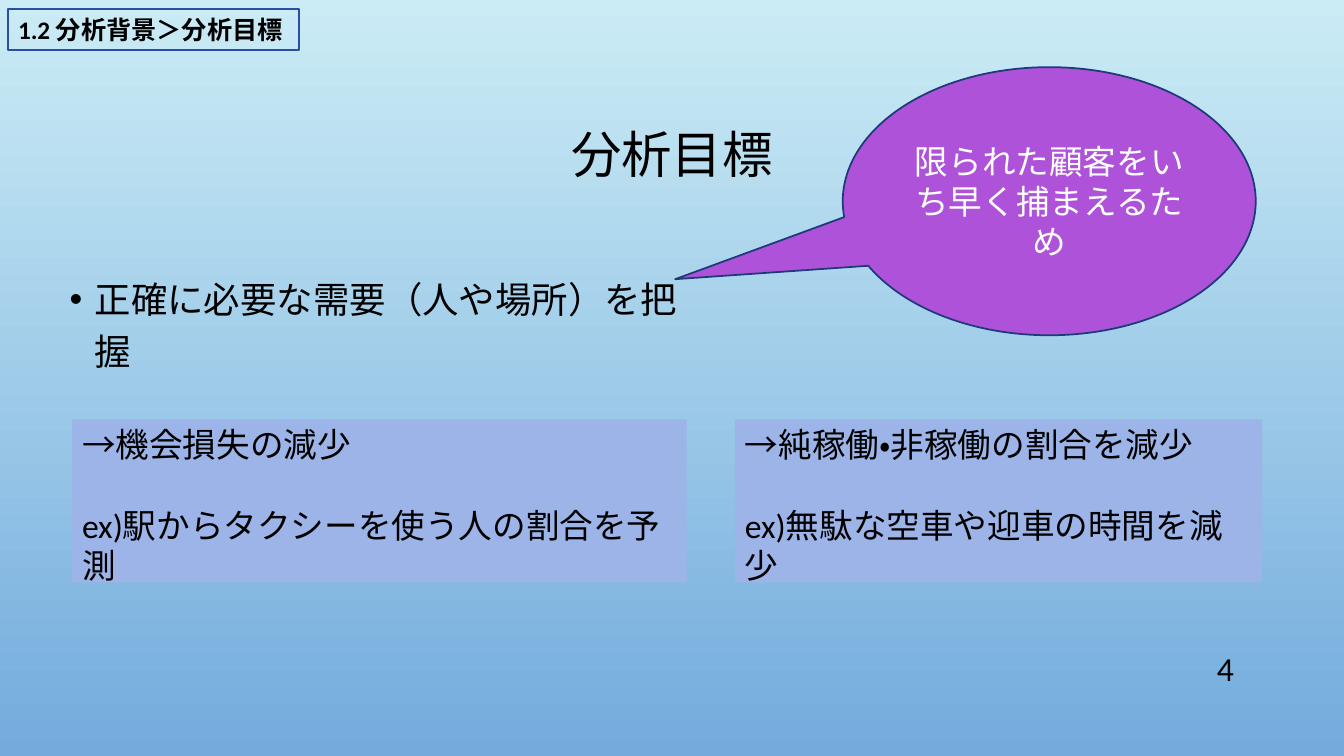
"""Build the analysis goal slide with its callout and two outcome boxes."""
from dataclasses import dataclass, field
from typing import Any

import lxml.etree
import pptx
import pptx.dml.color
import pptx.enum.lang
import pptx.enum.shapes
import pptx.enum.text
import pptx.oxml.ns
import pptx.util

Pt = pptx.util.Pt
ALIGN = pptx.enum.text.PP_ALIGN
ANCHOR = pptx.enum.text.MSO_ANCHOR
SHAPE = pptx.enum.shapes.MSO_SHAPE
BLACK = "000000"


@dataclass
class Content:
    lines: list[str]
    size: float
    color: str = BLACK
    bold: bool = False
    bullet: bool = False
    frame: dict[str, Any] = field(default_factory=dict)
    paragraph: dict[str, Any] = field(default_factory=dict)
    gap: float = 0


@dataclass
class Box:
    place: tuple[float, float, float, float]
    content: Content
    kind: Any = SHAPE.RECTANGLE
    fill: str | None = None
    line: str | None = None
    adjustments: tuple[float, ...] = ()


def color(value: str) -> pptx.dml.color.RGBColor:
    return pptx.dml.color.RGBColor.from_string(value)


def apply(target: Any, values: dict[str, Any]) -> None:
    for name, value in values.items():
        setattr(target, name, value)


def place_shape(shape: Any, place: tuple[float, float, float, float]) -> None:
    apply(shape, dict(zip(("left", "top", "width", "height"), map(Pt, place))))


def add_bullet(paragraph: Any) -> None:
    properties = paragraph._p.get_or_add_pPr()
    properties.set("marL", str(Pt(18)))
    properties.set("indent", str(Pt(-18)))
    tag = pptx.oxml.ns.qn
    bullet_color = lxml.etree.SubElement(properties, tag("a:buClr"))
    lxml.etree.SubElement(bullet_color, tag("a:srgbClr"), val=BLACK)
    lxml.etree.SubElement(properties, tag("a:buFont"), typeface="Arial")
    lxml.etree.SubElement(properties, tag("a:buChar"), char="•")


def write(shape: Any, content: Content) -> None:
    frame = shape.text_frame
    apply(frame, {
        "word_wrap": True,
        "auto_size": pptx.enum.text.MSO_AUTO_SIZE.NONE,
        "vertical_anchor": ANCHOR.TOP,
    } | content.frame)
    for index, line in enumerate(content.lines):
        paragraph = frame.add_paragraph() if index else frame.paragraphs[0]
        if content.bullet:
            add_bullet(paragraph)
        apply(paragraph, {
            "alignment": ALIGN.LEFT,
            "space_before": Pt(content.gap if index else 0),
        } | content.paragraph)
        run = paragraph.add_run()
        run.text = line
        apply(run.font, {
            "name": "Calibri",
            "size": Pt(content.size),
            "bold": content.bold,
            "language_id": pptx.enum.lang.MSO_LANGUAGE_ID.JAPANESE,
        })
        run.font.color.rgb = color(content.color)


def draw_box(slide: Any, box: Box) -> None:
    shape = slide.shapes.add_shape(box.kind, *map(Pt, box.place))
    shape.shadow.inherit = False
    for index, value in enumerate(box.adjustments):
        shape.adjustments[index] = value
    if box.fill:
        shape.fill.solid()
        shape.fill.fore_color.rgb = color(box.fill)
    else:
        shape.fill.background()
    if box.line:
        shape.line.color.rgb = color(box.line)
        shape.line.width = Pt(1.25)
    else:
        shape.line.fill.background()
    write(shape, box.content)


def paint_background(slide: Any) -> None:
    fill = slide.background.fill
    fill.gradient()
    fill.gradient_angle = 270
    for stop, value in zip(fill.gradient_stops, ("CBECF5", "73ABDD")):
        stop.color.rgb = color(value)


def outcome(left: float, width: float, lines: list[str]) -> Box:
    return Box((left, 299.5, width, 116.6), Content(lines, 24, gap=28.8), fill="9CB4E7")


def main() -> None:
    presentation = pptx.Presentation()
    apply(presentation, {"slide_width": Pt(960), "slide_height": Pt(540)})
    slide = presentation.slides.add_slide(presentation.slide_layouts[1])
    paint_background(slide)

    title, body = slide.placeholders
    place_shape(title, (72, 49, 816, 126))
    write(title, Content(["分析目標"], 36, frame={"vertical_anchor": ANCHOR.MIDDLE},
                         paragraph={"alignment": ALIGN.CENTER, "line_spacing": 0.9}))
    place_shape(body, (42.5, 188, 458, 269))
    write(body, Content(["正確に必要な需要（人や場所）を把握"], 26, bullet=True,
                        paragraph={"line_spacing": 1.2}))

    page_number = slide.shapes.add_textbox(*map(Pt, (828, 463, 60.5, 28.8)))
    write(page_number, Content(["4"], 24, frame={"vertical_anchor": ANCHOR.MIDDLE},
                               paragraph={"alignment": ALIGN.RIGHT}))

    boxes = [
        Box((5.8, 6.5, 208, 29), Content(["1.2 分析背景＞分析目標"], 18, bold=True,
                                         frame={"word_wrap": False}), line="274FA4"),
        Box((602, 48, 295, 191.5),
            Content(["限られた顧客をいち早く捕まえるため"], 24, "FFFFFF",
                    frame={"vertical_anchor": ANCHOR.MIDDLE},
                    paragraph={"alignment": ALIGN.CENTER}),
            SHAPE.OVAL_CALLOUT, "AE52D9", "1D3A79", (-0.906, 0.291)),
        outcome(525, 376.5, ["→純稼働・非稼働の割合を減少", "ex)無駄な空車や迎車の時間を減少"]),
        outcome(51.5, 439, ["→機会損失の減少", "ex)駅からタクシーを使う人の割合を予測"]),
    ]
    for box in boxes:
        draw_box(slide, box)
    presentation.save("out.pptx")


if __name__ == "__main__":
    main()
